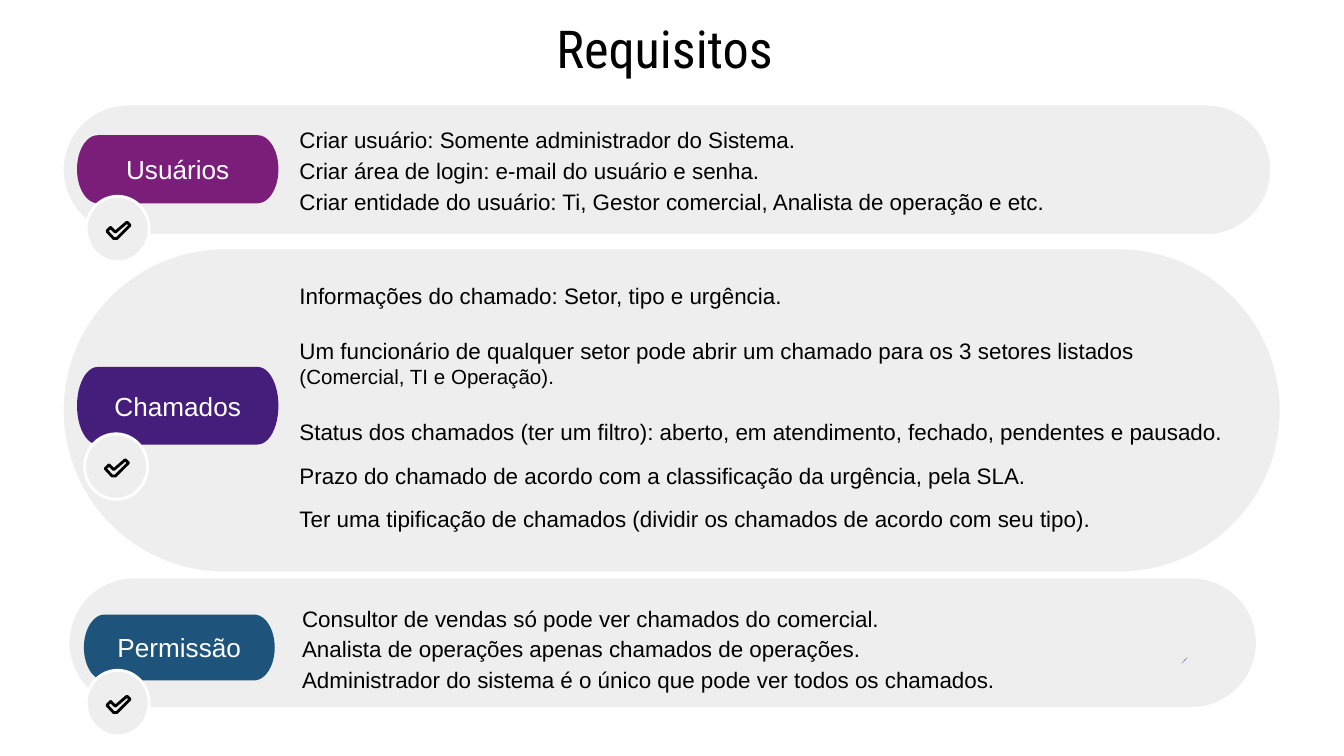
from math import cos, pi, sin

from pptx import Presentation
from pptx.dml.color import RGBColor
from pptx.enum.shapes import MSO_SHAPE
from pptx.enum.text import MSO_ANCHOR, PP_ALIGN
from pptx.util import Cm, Pt

BAND, OVAL = MSO_SHAPE.ROUNDED_RECTANGLE, MSO_SHAPE.OVAL
MIDDLE, LEFT, CENTER = MSO_ANCHOR.MIDDLE, PP_ALIGN.LEFT, PP_ALIGN.CENTER

BLACK = RGBColor(0x00, 0x00, 0x00)
WHITE = RGBColor(0xFF, 0xFF, 0xFF)
GRAY = RGBColor(0xEE, 0xEE, 0xEE)
PLUM = RGBColor(0x7B, 0x1E, 0x7A)
VIOLET = RGBColor(0x45, 0x1E, 0x7B)
NAVY = RGBColor(0x1E, 0x54, 0x7B)
BLUE = RGBColor(0x35, 0x61, 0xAF)

# Content: a paragraph is (runs, line spacing, space after); a run is (text, size)
TITLE = "Requisitos"


def evenly(*lines):
    return [([(line, 12)], 1.15, 0) for line in lines]


USERS = evenly(
    "Criar usuário: Somente administrador do Sistema.",
    "Criar área de login: e-mail do usuário e senha.",
    "Criar entidade do usuário: Ti, Gestor comercial, Analista de operação e etc.",
)
CALLS = [
    ([("Informações do chamado: Setor, tipo e urgência.", 12)], 1.0, 15),
    ([("Um funcionário de qualquer setor pode abrir um chamado para os 3 setores listados ", 12),
      ("(Comercial, TI e Operação).", 11)], 1.0, 15),
    ([("Status dos chamados (ter um filtro): aberto, em atendimento, fechado, pendentes e pausado.", 12)], 1.07, 8),
    ([("Prazo do chamado de acordo com a classificação da urgência, pela SLA.", 12)], 1.07, 8),
    ([("Ter uma tipificação de chamados (dividir os chamados de acordo com seu tipo).", 12)], 1.07, 8),
]
RIGHTS = evenly(
    "Consultor de vendas só pode ver chamados do comercial.",
    "Analista de operações apenas chamados de operações.",
    "Administrador do sistema é o único que pode ver todos os chamados.",
)

# Boxes are left, top, width, height in cm
ROWS = [
    dict(name="Usuários", color=PLUM, paras=USERS, inset={},
         band=(1.19, 1.98, 22.83, 2.46), label=(1.47, 2.57, 3.78, 1.26),
         body=(5.41, 1.88, 18.62, 2.62), badge=(1.63, 3.71)),
    dict(name="Chamados", color=VIOLET, paras=CALLS,
         inset=dict(margin_right=Cm(0.35), margin_bottom=Cm(1.07)),
         band=(1.19, 4.7, 23.01, 6.12), label=(1.47, 6.95, 3.78, 1.44),
         body=(5.41, 5.69, 18.34, 4.83), badge=(1.6, 8.2)),
    dict(name="Permissão", color=NAVY, paras=RIGHTS, inset={},
         band=(1.3, 10.92, 22.45, 2.46), label=(1.6, 11.63, 3.58, 1.22),
         body=(5.46, 10.92, 17.98, 2.62), badge=(1.63, 12.67)),
]
TICK = [(0.39, 0.66), (0.46, 0.59), (0.55, 0.68), (0.77, 0.49),
        (0.83, 0.55), (0.58, 0.8), (0.52, 0.8)]
FRAME = dict(word_wrap=True, vertical_anchor=MIDDLE, margin_left=Cm(0.25),
             margin_right=Cm(0.25), margin_top=Cm(0.25), margin_bottom=Cm(0.25))


def assign(item, values):
    for key, value in values.items():
        setattr(item, key, value)


def paint(shape, fill, line, width=0.75):
    shape.shadow.inherit = False
    for part, color in ((shape.fill, fill), (shape.line.fill, line)):
        if color is None:
            part.background()
        else:
            part.solid()
            part.fore_color.rgb = color
    if line is not None:
        shape.line.width = Pt(width)
    return shape


def write(shape, paras, color=BLACK, align=LEFT, font="Arial", inset={}):
    frame = shape.text_frame
    assign(frame, {**FRAME, **inset})
    for i, (runs, spacing, after) in enumerate(paras):
        para = frame.paragraphs[0] if i == 0 else frame.add_paragraph()
        assign(para, dict(alignment=align, line_spacing=spacing, space_after=Pt(after)))
        for text, size in runs:
            run = para.add_run()
            run.text = text
            assign(run.font, dict(name=font, size=Pt(size)))
            run.font.color.rgb = color


def outline(points):
    spots = [(Cm(x), Cm(y)) for x, y in points]
    path = shapes.build_freeform(*spots[0])
    path.add_line_segments(spots[1:], close=True)
    return path.convert_to_shape()


def pill(left, top, width, height, curve=0.38, steps=24):
    """Outline with half an ellipse at either end."""
    half = height / 2
    points = []
    for side, start in ((left + width - curve, -pi / 2), (left + curve, pi / 2)):
        for i in range(steps + 1):
            turn = start + pi * i / steps
            points.append((side + curve * cos(turn), top + half + half * sin(turn)))
    return points


deck = Presentation()
deck.slide_width, deck.slide_height = Cm(25.4), Cm(14.29)
shapes = deck.slides.add_slide(deck.slide_layouts[6]).shapes

# Title
box = shapes.add_textbox(*map(Cm, (1.83, 0.23, 21.46, 1.35)))
write(box, [([(TITLE, 28)], 1.0, 0)], align=CENTER, font="Roboto Condensed")

# Bands with label and body text
for row in ROWS:
    band = paint(shapes.add_shape(BAND, *map(Cm, row["band"])), GRAY, WHITE)
    band.adjustments[0] = 0.5
    label = paint(outline(pill(*row["label"])), row["color"], row["color"])
    write(label, [([(row["name"], 14)], 1.0, 0)], WHITE, CENTER)
    body = shapes.add_textbox(*map(Cm, row["body"]))
    write(body, row["paras"], inset=row["inset"])

# Badges with a tick, above all bands
for row in ROWS:
    left, top = row["badge"]
    paint(shapes.add_shape(OVAL, *map(Cm, (left, top, 1.19, 1.24))), GRAY, WHITE, 1.5)
    paint(outline([(left + x, top + y) for x, y in TICK]), None, BLACK, 1.5)

# Thin sliver at the right of the last band
paint(outline([(22.45, 12.42), (22.39, 12.47), (22.33, 12.55)]), BLUE, None)

deck.save("out.pptx")
